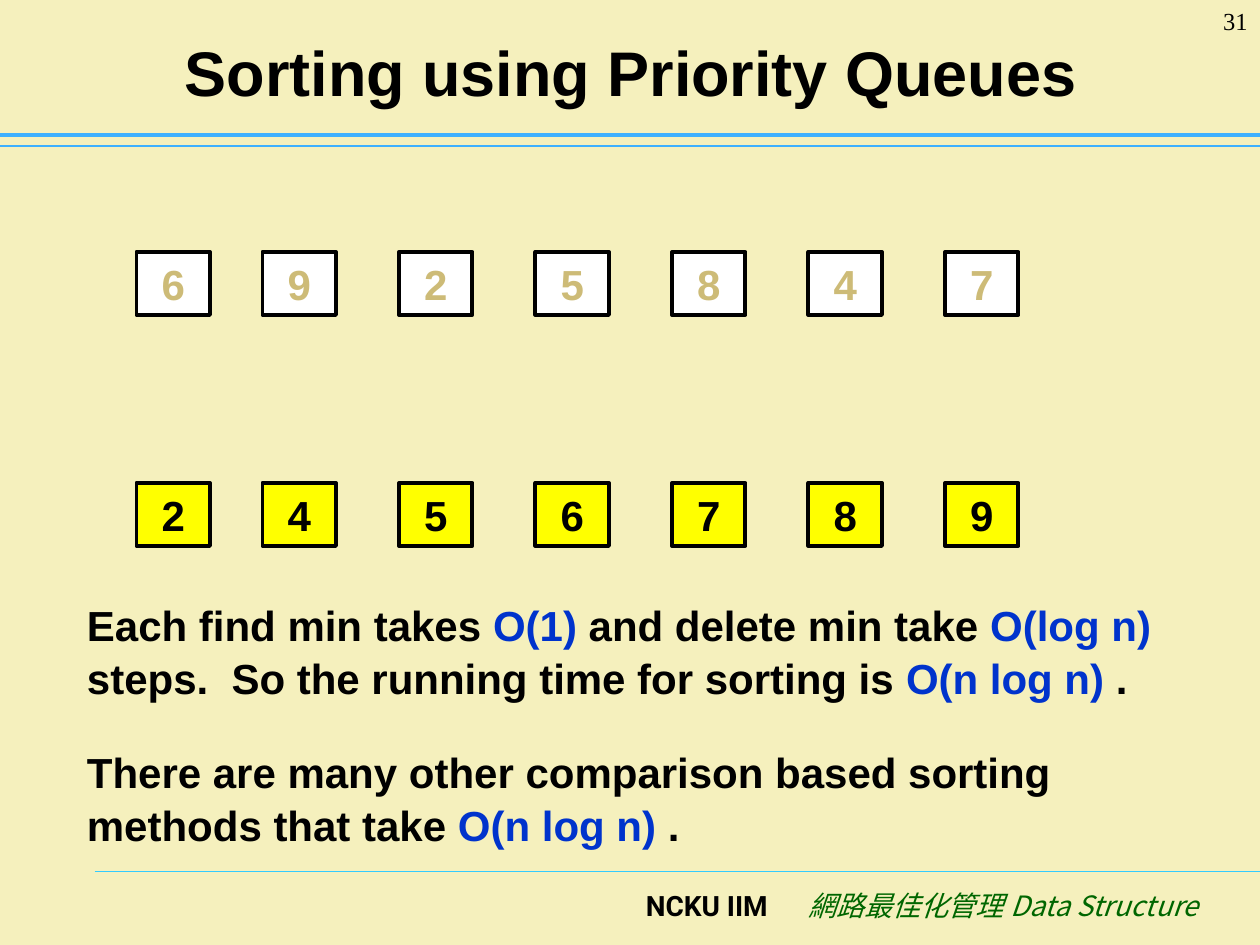
from lxml import etree
from pptx import Presentation
from pptx import util as u
from pptx.dml.color import RGBColor
from pptx.enum import shapes, text
from pptx.oxml.ns import qn

CREAM = RGBColor(0xF5, 0xF0, 0xBD)
BLACK = RGBColor(0, 0, 0)
WHITE = RGBColor(0xFF, 0xFF, 0xFF)
YELLOW = RGBColor(0xFF, 0xFF, 0)
TAN = RGBColor(0xCD, 0xBB, 0x77)
BLUE = RGBColor(0, 0x33, 0xCC)
GREEN = RGBColor(0, 0x66, 0)
SKY = RGBColor(0x3D, 0xB0, 0xFF)
CYAN = RGBColor(0x33, 0xCC, 0xFF)

WIDTH, HEIGHT = u.Inches(10), u.Inches(7.5)
UNIT = WIDTH // 120
KEY_WIDTH, KEY_HEIGHT = 7, 6
KEY_COLUMNS = [13] + [25 + 13 * step for step in range(6)]
INPUT_ROW, SORTED_ROW = 24, 46
KEYS = [6, 9, 2, 5, 8, 4, 7]


def grid(*cells):
    return [round(cell * UNIT) for cell in cells]


def write(frame, *parts, size=24, font="Arial", color=BLACK, bold=True,
          italic=False, align=text.PP_ALIGN.LEFT,
          anchor=text.MSO_ANCHOR.TOP, wrap=True, spacing=None):
    frame.word_wrap = wrap
    frame.auto_size = text.MSO_AUTO_SIZE.NONE
    frame.vertical_anchor = anchor
    paragraph = frame.paragraphs[0]
    paragraph.alignment = align
    paragraph.line_spacing = spacing
    for part in parts:
        words, part_color = part if isinstance(part, tuple) else (part, color)
        run = paragraph.add_run()
        run.text = words
        run.font.size = u.Pt(size)
        run.font.name = font
        run.font.bold = bold
        run.font.italic = italic
        run.font.color.rgb = part_color
        latin = run.font._element.find(qn("a:latin"))
        east_asian = etree.Element(qn("a:ea"), typeface=font)
        latin.addnext(east_asian)


def add_rule(slide, left, top, color, weight):
    ends = grid(left, top, 120, top)
    rule = slide.shapes.add_connector(shapes.MSO_CONNECTOR.STRAIGHT, *ends)
    rule.line.color.rgb = color
    rule.line.width = u.Pt(weight)
    etree.SubElement(rule._element.spPr, qn("a:effectLst"))


def add_words(slide, cells, *parts, **style):
    box = slide.shapes.add_textbox(*grid(*cells))
    write(box.text_frame, *parts, **style)


def add_title(slide, words):
    title = slide.shapes.title
    title.left, title.top, title.width, title.height = grid(6.1, 1.6, 108, 10.4)
    write(title.text_frame, words, size=36, align=text.PP_ALIGN.CENTER,
          anchor=text.MSO_ANCHOR.MIDDLE)


def add_keys(slide, keys, row, fill, color):
    for column, key in zip(KEY_COLUMNS, keys):
        cell = slide.shapes.add_shape(
            shapes.MSO_SHAPE.RECTANGLE,
            *grid(column, row, KEY_WIDTH, KEY_HEIGHT))
        cell.shadow.inherit = False
        cell.fill.solid()
        cell.fill.fore_color.rgb = fill
        cell.line.color.rgb = BLACK
        cell.line.width = u.Pt(2.25)
        write(cell.text_frame, str(key), color=color, wrap=False,
              align=text.PP_ALIGN.CENTER, anchor=text.MSO_ANCHOR.MIDDLE)


def main():
    deck = Presentation()
    deck.slide_width, deck.slide_height = WIDTH, HEIGHT
    slide = deck.slides.add_slide(deck.slide_layouts[5])
    slide.background.fill.solid()
    slide.background.fill.fore_color.rgb = CREAM

    add_rule(slide, 9, 83, CYAN, 0.75)
    add_rule(slide, 0, 13.9, SKY, 0.75)
    add_rule(slide, 0, 12.85, SKY, 2.5)

    right = text.PP_ALIGN.RIGHT
    add_words(slide, (54, 84, 20.3, 6), "NCKU IIM",
              size=16, font="Roboto", align=right)
    add_words(slide, (74.3, 84, 41, 6), "網路最佳化管理 Data Structure",
              size=16, font="Noto Sans CJK SC", color=GREEN, bold=False,
              italic=True, align=right)

    add_title(slide, "Sorting using Priority Queues")
    add_keys(slide, sorted(KEYS), SORTED_ROW, YELLOW, BLACK)

    sorting_cost = ("O(n log n)", BLUE)
    add_words(slide, (7.1, 56.3, 104, 10.8),
              "Each find min takes ", ("O(1)", BLUE),
              " and delete min take ", ("O(log n)", BLUE),
              " steps.  So the running time for sorting is ",
              sorting_cost, " .", spacing=1.05)
    add_words(slide, (7.1, 70.3, 102, 10.8),
              "There are many other comparison based sorting methods that take ",
              sorting_cost, " .", spacing=1.05)

    add_keys(slide, KEYS, INPUT_ROW, WHITE, TAN)
    add_words(slide, (110, 0, 10, 6), "31", size=14,
              font="Times New Roman", bold=False, align=right)
    deck.save("out.pptx")


if __name__ == "__main__":
    main()
